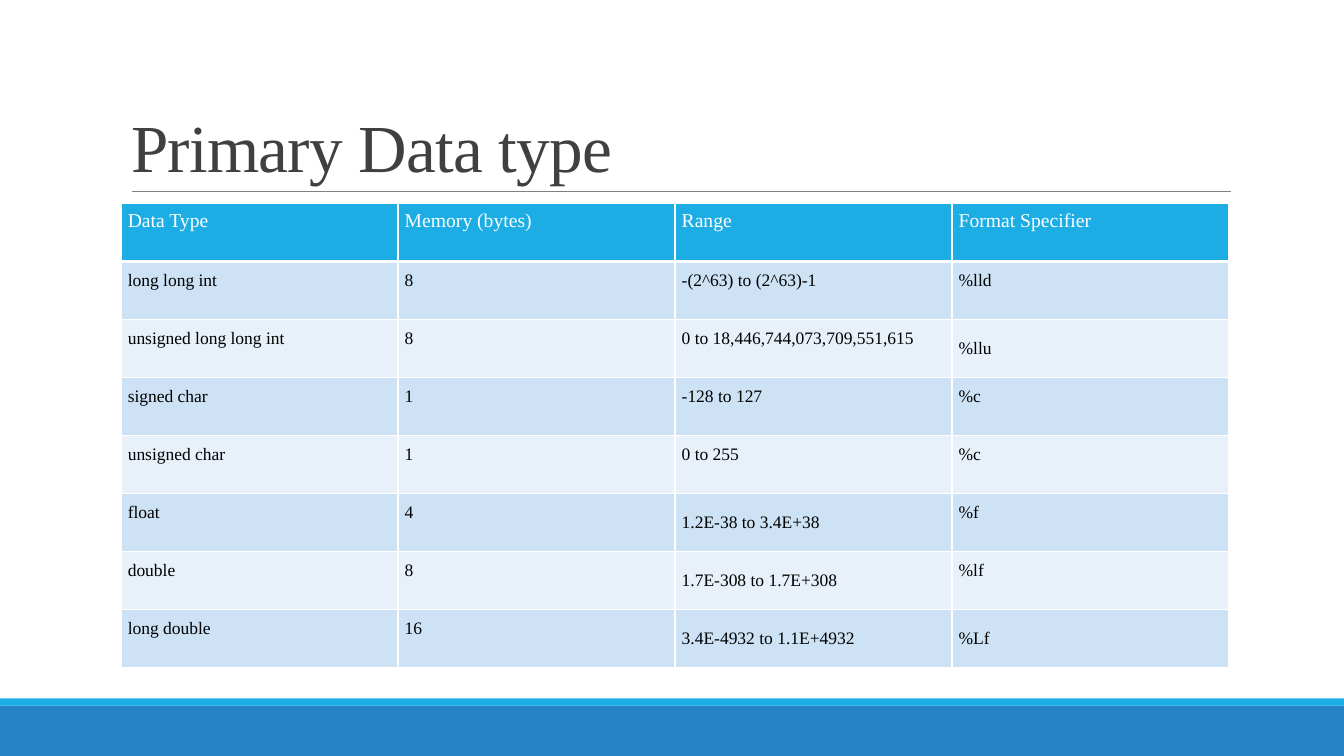
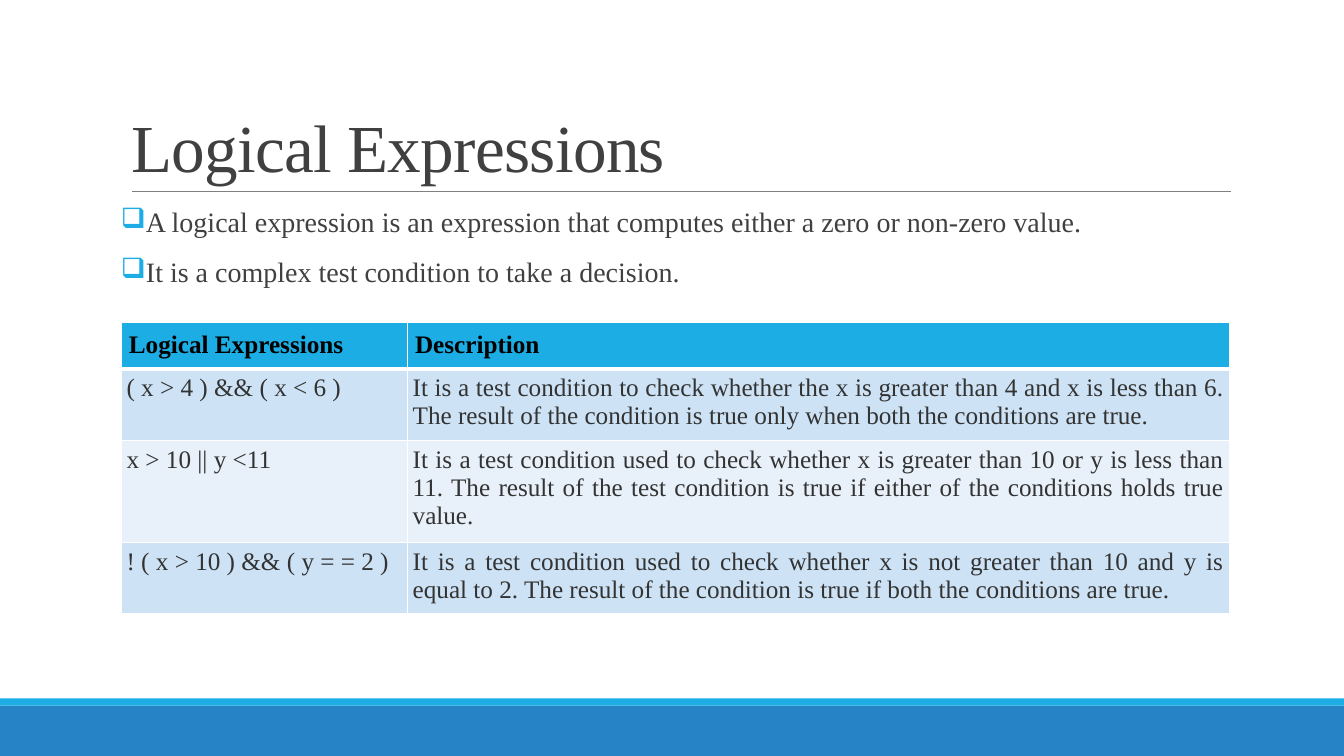
from dataclasses import dataclass

from lxml.etree import SubElement
from pptx import Presentation
from pptx.dml.color import RGBColor
from pptx.enum.shapes import MSO_CONNECTOR, MSO_SHAPE
from pptx.enum.text import MSO_ANCHOR, MSO_AUTO_SIZE, PP_ALIGN
from pptx.oxml.ns import qn
from pptx.slide import Slide, SlideLayout
from pptx.table import _Cell
from pptx.text.text import _Paragraph
from pptx.util import Cm, Pt

FONT = "Times New Roman"
BLUE = RGBColor(0x26, 0x83, 0xC6)
CYAN = RGBColor(0x1C, 0xAD, 0xE4)
LIGHT = RGBColor(0xCD, 0xE3, 0xF5)
PALE = RGBColor(0xE8, 0xF1, 0xFA)
GRAY = RGBColor(0x80, 0x80, 0x80)
DARK = RGBColor(0x40, 0x40, 0x40)
INK = RGBColor(0x33, 0x33, 0x33)
BLACK = RGBColor(0, 0, 0)
WHITE = RGBColor(0xFF, 0xFF, 0xFF)

SLIDE_W, SLIDE_H = Cm(33.87), Cm(19.05)
LEFT, WIDTH = Cm(3.05), Cm(27.94)
BODY_TOP = Cm(5.13)

TITLE = {"size": Pt(48), "color": DARK}
BULLET = {"size": Pt(20), "color": DARK}


@dataclass
class Band:
    top: Cm
    height: Cm
    color: RGBColor


@dataclass
class CellStyle:
    font: dict
    margin_x: Cm
    margin_y: Cm
    align: PP_ALIGN = PP_ALIGN.LEFT


@dataclass
class TableLayout:
    top: Cm
    col_widths: list[Cm]
    row_heights: list[Cm]
    header: CellStyle
    body: CellStyle
    centered: tuple[tuple[int, int], ...] = ()


BANDS = [Band(Cm(17.78), Cm(1.27), BLUE), Band(Cm(17.6), Cm(0.18), CYAN)]

TYPE_ROWS = [
    ("Data Type", "Memory (bytes)", "Range", "Format Specifier"),
    ("long long int", "8", "-(2^63) to (2^63)-1", "%lld"),
    ("unsigned long long int", "8", "0 to 18,446,744,073,709,551,615", "%llu"),
    ("signed char", "1", "-128 to 127", "%c"),
    ("unsigned char", "1", "0 to 255", "%c"),
    ("float", "4", "1.2E-38 to 3.4E+38", "%f"),
    ("double", "8", "1.7E-308 to 1.7E+308", "%lf"),
    ("long double", "16", "3.4E-4932 to 1.1E+4932", "%Lf"),
]
TYPE_TABLE = TableLayout(
    top=BODY_TOP,
    col_widths=[Cm(6.98)] * 4,
    row_heights=[Cm(1.46)] * len(TYPE_ROWS),
    header=CellStyle({"size": Pt(14), "color": WHITE, "bold": False}, Cm(0.17), Cm(0.17)),
    body=CellStyle({"size": Pt(12.5), "color": BLACK}, Cm(0.17), Cm(0.24)),
    centered=((2, 3), (5, 2), (6, 2), (7, 2), (7, 3)),
)

LOGIC_POINTS = [
    "A logical expression is an expression that computes either a zero or non-zero value.",
    "It is a complex test condition to take a decision.",
]
LOGIC_ROWS = [
    ("Logical Expressions", "Description"),
    ("( x > 4 ) && ( x < 6 )",
     "It is a test condition to check whether the x is greater than 4 and x is less than 6. "
     "The result of the condition is true only when both the conditions are true."),
    ("x > 10 || y <11",
     "It is a test condition used to check whether x is greater than 10 or y is less than 11. "
     "The result of the test condition is true if either of the conditions holds true value."),
    ("! ( x > 10 ) && ( y = = 2 )",
     "It is a test condition used to check whether x is not greater than 10 and y is equal to 2. "
     "The result of the condition is true if both the conditions are true."),
]
LOGIC_TABLE = TableLayout(
    top=Cm(8.13),
    col_widths=[Cm(7.21), Cm(20.73)],
    row_heights=[Cm(1.1), Cm(1.7), Cm(2.4), Cm(1.7)],
    header=CellStyle({"size": Pt(18), "color": BLACK, "bold": True}, Cm(0.2), Cm(0.2)),
    body=CellStyle({"size": Pt(18), "color": INK}, Cm(0.14), Cm(0.14), PP_ALIGN.JUSTIFY),
)


def add_text(p: _Paragraph, text: str, style: dict):
    r = p.add_run()
    r.text = text
    r.font.name = FONT
    for name, value in style.items():
        if name == "color":
            r.font.color.rgb = value
        else:
            setattr(r.font, name, value)
    return r


def build_layout(layout: SlideLayout, slide: Slide) -> None:
    """Draw the bands and title rule on the slide, then move them to its layout."""
    decor = []
    for band in BANDS:
        sp = slide.shapes.add_shape(MSO_SHAPE.RECTANGLE, 0, band.top, SLIDE_W, band.height)
        sp.shadow.inherit = False
        sp.fill.solid()
        sp.fill.fore_color.rgb = band.color
        sp.line.fill.background()
        decor.append(sp)

    rule = slide.shapes.add_connector(
        MSO_CONNECTOR.STRAIGHT, Cm(3.33), Cm(4.83), Cm(31.01), Cm(4.83))
    rule.line.color.rgb = GRAY
    rule.line.width = Pt(0.5)
    SubElement(rule.element.spPr, qn("a:effectLst"))
    decor.append(rule)

    for shape_id, sp in enumerate(decor, start=101):
        sp.element.find(".//" + qn("p:cNvPr")).set("id", str(shape_id))
        layout.shapes.element.append(sp.element)


def set_title(slide: Slide, text: str) -> None:
    sp = slide.shapes.title
    sp.left, sp.top, sp.width, sp.height = LEFT, Cm(0.79), WIDTH, Cm(4.04)
    tf = sp.text_frame
    tf.word_wrap = True
    tf.auto_size = MSO_AUTO_SIZE.NONE
    tf.vertical_anchor = MSO_ANCHOR.BOTTOM
    p = tf.paragraphs[0]
    p.alignment = PP_ALIGN.LEFT
    p.line_spacing = 0.85
    r = add_text(p, text, TITLE)
    r.font._element.set("spc", "-50")


def add_bullets(slide: Slide, points: list[str]) -> None:
    tf = slide.shapes.add_textbox(LEFT, BODY_TOP, WIDTH, Cm(2.8)).text_frame
    tf.word_wrap = True
    tf.margin_left = tf.margin_right = 0
    for i, point in enumerate(points):
        p = tf.add_paragraph() if i else tf.paragraphs[0]
        p.line_spacing = 0.9
        p.space_before, p.space_after = Pt(12), Pt(2)
        add_text(p, point, BULLET)
        pPr = p._p.get_or_add_pPr()
        pPr.set("marL", str(Cm(0.25)))
        pPr.set("indent", str(-Cm(0.25)))
        color = SubElement(pPr, qn("a:buClr"))
        SubElement(color, qn("a:srgbClr"), val=str(CYAN))
        SubElement(pPr, qn("a:buChar"), char="❑")


def set_borders(cell: _Cell, row: int) -> None:
    """White borders, thicker between the header and the first body row."""
    tcPr = cell._tc.get_or_add_tcPr()
    widths = {"lnL": 1, "lnR": 1, "lnT": 3 if row == 1 else 1, "lnB": 3 if row == 0 else 1}
    for side, width in widths.items():
        ln = SubElement(tcPr, qn(f"a:{side}"), w=str(Pt(width)))
        SubElement(SubElement(ln, qn("a:solidFill")), qn("a:srgbClr"), val=str(WHITE))


def add_grid(slide: Slide, rows: list[tuple[str, ...]], spec: TableLayout) -> None:
    table = slide.shapes.add_table(
        len(rows), len(spec.col_widths), LEFT, spec.top, WIDTH, sum(spec.row_heights)).table
    for column, width in zip(table.columns, spec.col_widths):
        column.width = width
    for i, (values, height) in enumerate(zip(rows, spec.row_heights)):
        table.rows[i].height = height
        style = spec.body if i else spec.header
        fill = (LIGHT if i % 2 else PALE) if i else CYAN
        for j, text in enumerate(values):
            cell = table.cell(i, j)
            set_borders(cell, i)
            cell.fill.solid()
            cell.fill.fore_color.rgb = fill
            cell.margin_left = cell.margin_right = style.margin_x
            cell.margin_top = cell.margin_bottom = style.margin_y
            cell.vertical_anchor = (
                MSO_ANCHOR.MIDDLE if (i, j) in spec.centered else MSO_ANCHOR.TOP)
            p = cell.text_frame.paragraphs[0]
            p.alignment = style.align
            add_text(p, text, style.font)


def main() -> None:
    prs = Presentation()
    prs.slide_width, prs.slide_height = SLIDE_W, SLIDE_H
    layout = prs.slide_layouts[5]

    types_slide = prs.slides.add_slide(layout)
    build_layout(layout, types_slide)
    set_title(types_slide, "Primary Data type")
    add_grid(types_slide, TYPE_ROWS, TYPE_TABLE)

    logic_slide = prs.slides.add_slide(layout)
    set_title(logic_slide, "Logical Expressions")
    add_bullets(logic_slide, LOGIC_POINTS)
    add_grid(logic_slide, LOGIC_ROWS, LOGIC_TABLE)

    prs.save("out.pptx")


if __name__ == "__main__":
    main()
